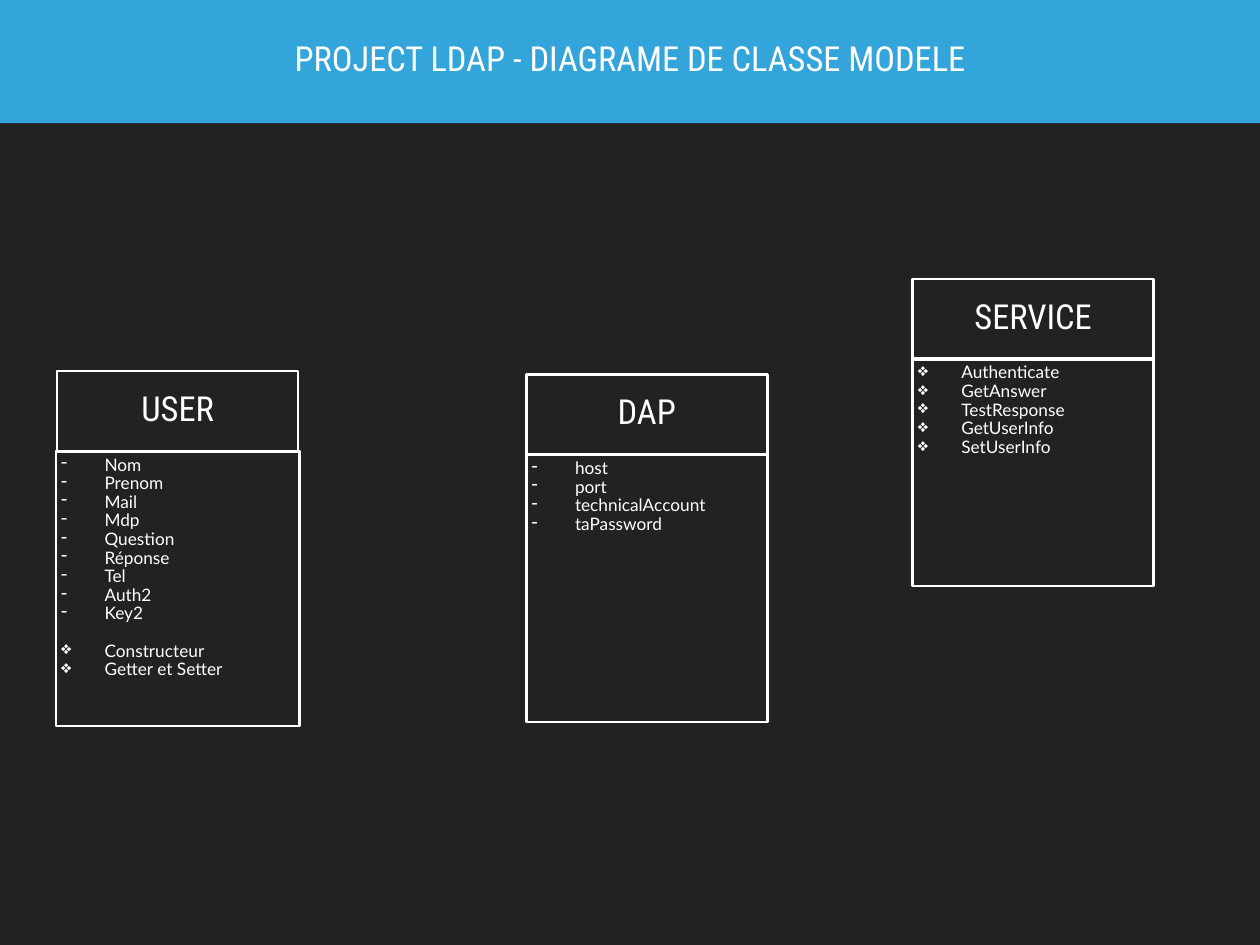
from lxml import etree
from pptx import Presentation, util as u
from pptx.dml.color import RGBColor
from pptx.enum import shapes, text
from pptx.oxml import ns

WHITE = RGBColor(0xFF, 0xFF, 0xFF)
BLUE = RGBColor(0x34, 0xA5, 0xDA)
DARK = RGBColor(0x22, 0x22, 0x22)

WIDE, HIGH = 14.22, 10.67
COL, ROW = WIDE / 100, HIGH / 100
HEAD_W, HEAD_H, STEP = 19.13, 8.53, 8.44
INSET, INDENT = 0.06, 0.49
GAP = 15.1

TITLE = {"size": u.Pt(28), "name": "Roboto Condensed"}
BODY = {"size": u.Pt(14), "name": "Lato"}

CLASSES = [
    ("USER", (4.43, 39.27, 19.34, 37.58), [
        ("-", ["Nom", "Prenom", "Mail", "Mdp", "Question", "Réponse",
               "Tel", "Auth2", "Key2"]),
        ("❖", ["Constructeur", "Getter et Setter"])]),
    ("DAP", (41.77, 39.64, 19.13, 36.74), [
        ("-", ["host", "port", "technicalAccount", "taPassword"])]),
    ("SERVICE", (72.43, 29.52, 19.13, 32.52), [
        ("❖", ["Authenticate", "GetAnswer", "TestResponse",
               "GetUserInfo", "SetUserInfo"])]),
]


def add_rect(slide, box, anchor, fill=None):
    x, y, w, h = box
    rect = slide.shapes.add_shape(
        shapes.MSO_SHAPE.RECTANGLE, u.Inches(x * COL), u.Inches(y * ROW),
        u.Inches(w * COL), u.Inches(h * ROW))
    rect.shadow.inherit = False
    if fill is None:
        rect.fill.background()
        rect.line.color.rgb = WHITE
        rect.line.width = u.Pt(2)
    else:
        rect.fill.solid()
        rect.fill.fore_color.rgb = fill
        rect.line.fill.background()
    frame = rect.text_frame
    frame.word_wrap = True
    frame.vertical_anchor = anchor
    for side in ("left", "top", "right", "bottom"):
        setattr(frame, f"margin_{side}", u.Inches(INSET))
    return frame


def write(para, words, style, align, space):
    para.alignment = align
    para.line_spacing = space
    run = para.add_run()
    run.text = words
    for key, value in style.items():
        setattr(run.font, key, value)
    run.font.color.rgb = WHITE


def add_mark(para, mark):
    props = para._p.get_or_add_pPr()
    props.set("marL", str(u.Inches(INDENT)))
    props.set("indent", str(-u.Inches(INDENT)))
    tint = etree.SubElement(props, ns.qn("a:buClr"))
    etree.SubElement(tint, ns.qn("a:srgbClr"), val=str(WHITE))
    etree.SubElement(props, ns.qn("a:buSzPct"), val="105000")
    etree.SubElement(props, ns.qn("a:buChar"), char=mark)


def add_title(slide, box, words, fill=None):
    frame = add_rect(slide, box, text.MSO_ANCHOR.MIDDLE, fill)
    write(frame.paragraphs[0], words, TITLE, text.PP_ALIGN.CENTER, 0.8)


def add_list(slide, box, groups):
    frame = add_rect(slide, box, text.MSO_ANCHOR.TOP)
    para = None
    for mark, items in groups:
        for rank, item in enumerate(items):
            first = para is None
            para = frame.paragraphs[0] if first else frame.add_paragraph()
            write(para, item, BODY, text.PP_ALIGN.LEFT, 0.9)
            if rank == 0 and not first:
                para.space_before = u.Pt(GAP)
            add_mark(para, mark)


def add_class(slide, box, name, groups):
    x, y, w, h = box
    add_list(slide, (x, y + STEP, w, h - STEP), groups)
    add_title(slide, (x + (w - HEAD_W) / 2, y, HEAD_W, HEAD_H), name)


def main():
    deck = Presentation()
    deck.slide_width, deck.slide_height = u.Inches(WIDE), u.Inches(HIGH)
    slide = deck.slides.add_slide(deck.slide_layouts[6])
    slide.background.fill.solid()
    slide.background.fill.fore_color.rgb = DARK
    add_title(slide, (0, 0, 100, 13.03),
              "PROJECT LDAP - DIAGRAME DE CLASSE MODELE", BLUE)
    for name, box, groups in CLASSES:
        add_class(slide, box, name, groups)
    deck.save("out.pptx")


if __name__ == "__main__":
    main()
